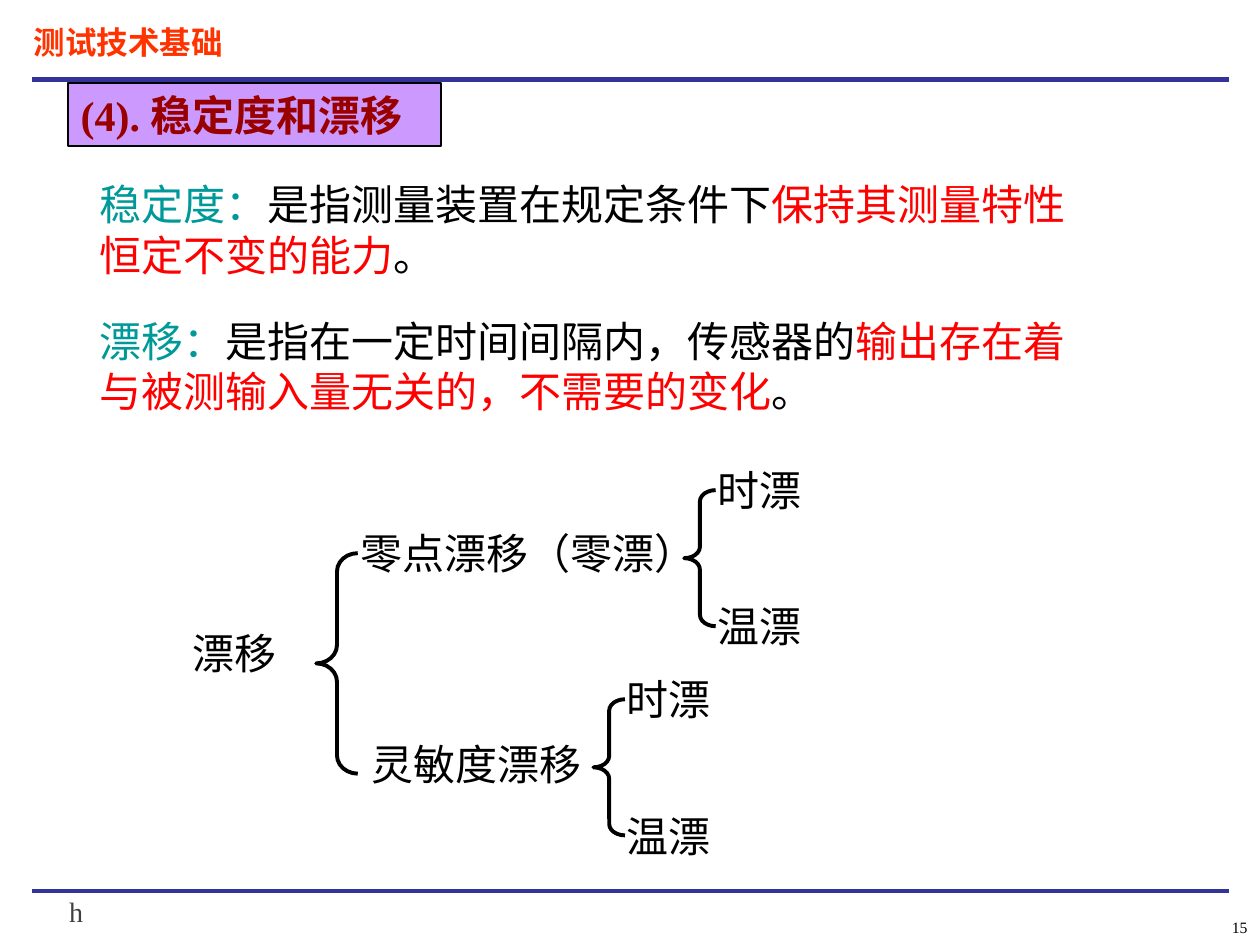
"""Build the slide on stability and drift of measuring devices."""
from lxml import etree
from pptx import Presentation
from pptx.dml.color import RGBColor
from pptx.enum.shapes import MSO_CONNECTOR, MSO_SHAPE
from pptx.enum.text import MSO_ANCHOR, MSO_AUTO_SIZE, PP_ALIGN
from pptx.oxml.ns import qn
from pptx.util import Inches, Pt

STRAIGHT = MSO_CONNECTOR.STRAIGHT
LEFT_BRACE = MSO_SHAPE.LEFT_BRACE
TOP, MIDDLE = MSO_ANCHOR.TOP, MSO_ANCHOR.MIDDLE
LEFT, RIGHT = PP_ALIGN.LEFT, PP_ALIGN.RIGHT
FIXED = MSO_AUTO_SIZE.NONE

BLACK = RGBColor(0x00, 0x00, 0x00)
GREY = RGBColor(0x40, 0x40, 0x40)
NAVY = RGBColor(0x33, 0x33, 0x99)
ORANGE = RGBColor(0xFF, 0x33, 0x00)
MAROON = RGBColor(0x99, 0x00, 0x00)
LILAC = RGBColor(0xCC, 0x99, 0xFF)
TEAL = RGBColor(0x00, 0x99, 0x99)
RED = RGBColor(0xFF, 0x00, 0x00)

SANS = "Noto Sans CJK SC"
SERIF = "Times New Roman"

WIDTH, HEIGHT = Inches(10), Inches(7.5)
COLUMNS, ROWS = 100, 75
LABEL_ROWS = 5

DEFINITIONS = [
    (1, 13.7, [("稳定度：", TEAL), ("是指测量装置在规定条件下", BLACK),
               ("保持其测量特性恒定不变的能力", RED), ("。", BLACK)]),
    (2, 24.5, [("漂移：", TEAL), ("是指在一定时间间隔内，传感器的", BLACK),
               ("输出存在着与被测输入量无关的，不需要的变化", RED), ("。", BLACK)]),
]
DRIFT_LABELS = [
    ("漂移", 14.3, 49.3, 13.3),
    ("零点漂移（零漂）", 27.6, 41.4, 29.2),
    ("灵敏度漂移", 28.5, 58.1, 21.1),
]
DRIFT_CAUSES = [(54.3, 38.9), (47.1, 55.5)]


def cells(column, row, columns, rows):
    """Turn grid cells into slide lengths."""
    return (int(WIDTH * column / COLUMNS), int(HEIGHT * row / ROWS),
            int(WIDTH * columns / COLUMNS), int(HEIGHT * rows / ROWS))


def write(shape, runs, size=24, face=SANS, bold=False, align=LEFT, anchor=TOP):
    """Fill a shape with one paragraph of coloured runs."""
    frame = shape.text_frame
    layout = {"word_wrap": True, "auto_size": FIXED, "vertical_anchor": anchor,
              "margin_left": Inches(0.1), "margin_right": Inches(0.1),
              "margin_top": Inches(0.05), "margin_bottom": Inches(0.05)}
    for name, value in layout.items():
        setattr(frame, name, value)
    paragraph = frame.paragraphs[0]
    properties = paragraph._p.get_or_add_pPr()
    properties.set("marL", "0")
    properties.set("indent", "0")
    etree.SubElement(properties, qn("a:buNone"))
    paragraph.alignment = align
    paragraph.space_before = Pt(0)
    for words, color in runs:
        run = paragraph.add_run()
        run.text = words
        for name, value in {"name": face, "size": Pt(size), "bold": bold}.items():
            setattr(run.font, name, value)
        run.font.color.rgb = color
        east_asian = etree.SubElement(run._r.get_or_add_rPr(), qn("a:ea"))
        east_asian.set("typeface", SANS)


def place(placeholder, area):
    """Move a placeholder to an area of the grid."""
    for name, value in zip(("left", "top", "width", "height"), cells(*area)):
        setattr(placeholder, name, value)


def add_label(slide, words, area, color=BLACK, **style):
    """Add a text box with a single run."""
    write(slide.shapes.add_textbox(*cells(*area)), [(words, color)], **style)


def add_rule(slide, row, weight):
    """Draw a rule across the slide."""
    left, top, width, _ = cells(2.5, row, 95, 0)
    rule = slide.shapes.add_connector(STRAIGHT, left, top, left + width, top)
    rule.line.color.rgb = NAVY
    rule.line.width = Pt(weight)
    etree.SubElement(rule._element.spPr, qn("a:effectLst"))


def add_brace(slide, column, row, columns, rows):
    """Draw a brace whose curves are a twelfth of its height."""
    brace = slide.shapes.add_shape(LEFT_BRACE, *cells(column, row, columns, rows))
    brace.adjustments[0] = rows / 12 / columns
    brace.shadow.inherit = False
    brace.fill.background()
    brace.line.color.rgb = BLACK
    brace.line.width = Pt(2.25)


def add_causes(slide, column, row):
    """Add a small brace with time drift and temperature drift at its ends."""
    width, height = 2.5, 10.8
    add_brace(slide, column, row, width, height)
    for cause, end in (("时漂", row), ("温漂", row + height)):
        add_label(slide, cause,
                  (column + 1.65, end - LABEL_ROWS / 2, 15, LABEL_ROWS))


def add_heading(slide):
    """Set the boxed section title."""
    heading = slide.shapes.title
    place(heading, (5.4, 6.6, 29.6, 5))
    heading.fill.solid()
    heading.fill.fore_color.rgb = LILAC
    heading.line.color.rgb = BLACK
    heading.line.width = Pt(0.75)
    write(heading, [("(4). 稳定度和漂移", MAROON)], face=SERIF, bold=True)


def main():
    """Build and save the slide."""
    deck = Presentation()
    deck.slide_width, deck.slide_height = WIDTH, HEIGHT
    slide = deck.slides.add_slide(deck.slide_layouts[3])
    add_rule(slide, 70.7, 2.25)
    add_rule(slide, 6.3, 3)
    add_label(slide, "测试技术基础", (1.7, 1.3, 29.2, 4), ORANGE,
              size=18, face=SERIF, bold=True)
    add_label(slide, "15", (90, 71.1, 10, 5), size=9, face=SERIF,
              align=RIGHT, anchor=MIDDLE)
    add_heading(slide)
    for index, row, runs in DEFINITIONS:
        definition = slide.placeholders[index]
        place(definition, (6.9, row, 79.2, 9))
        write(definition, runs)
    for words, column, row, columns in DRIFT_LABELS:
        add_label(slide, words, (column, row, columns, LABEL_ROWS))
    add_brace(slide, 25.1, 43.9, 3.3, 17.5)
    for column, row in DRIFT_CAUSES:
        add_causes(slide, column, row)
    add_label(slide, "h", (4.5, 70.5, 4.8, 3.7), GREY, size=16, face=SERIF)
    deck.save("out.pptx")


if __name__ == "__main__":
    main()
